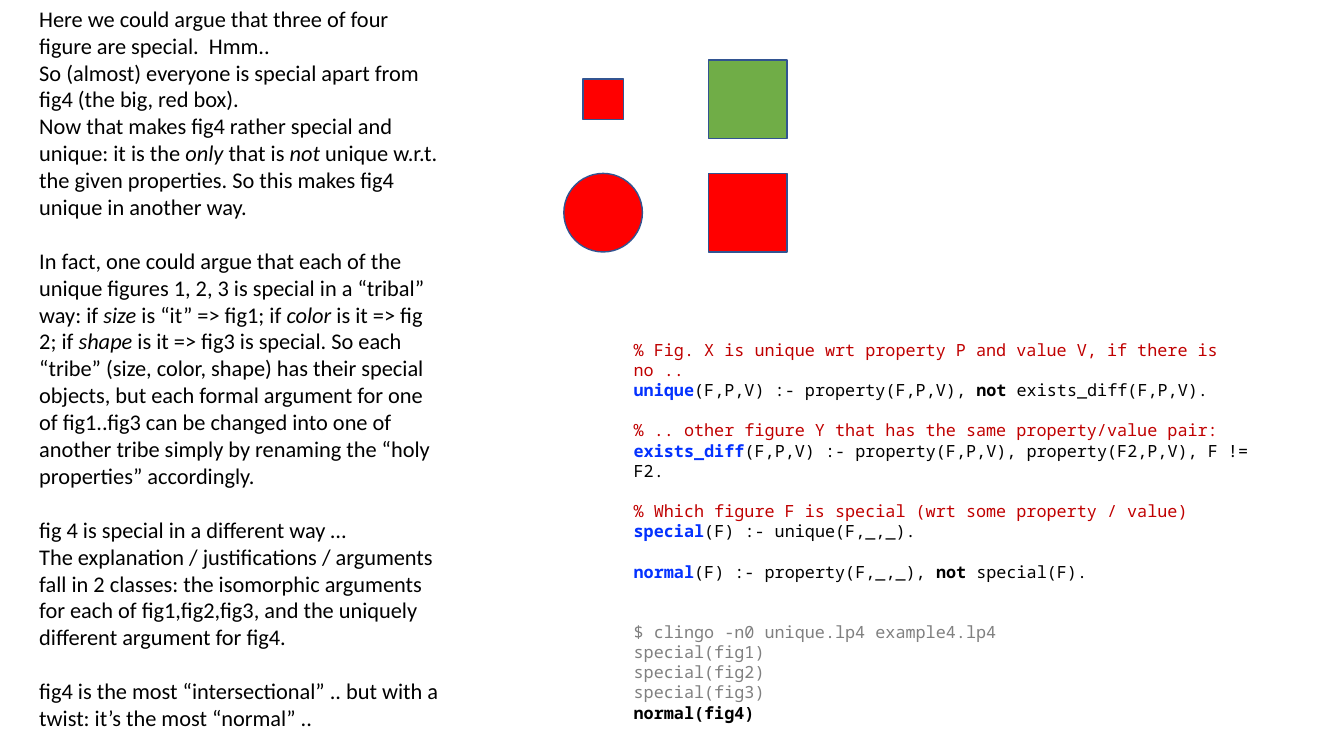
"""Build the slide on which of four figures is special, with its logic program."""
from pptx import Presentation
from pptx.dml.color import RGBColor
from pptx.enum.shapes import MSO_SHAPE as Shape
from pptx.util import Cm, Pt

BLACK = RGBColor(0x00, 0x00, 0x00)
RED = RGBColor(0xFF, 0x00, 0x00)
GREEN = RGBColor(0x70, 0xAD, 0x47)
OUTLINE = RGBColor(0x32, 0x54, 0x91)
DARK_RED = RGBColor(0xC0, 0x00, 0x00)
BLUE = RGBColor(0x04, 0x32, 0xFF)
GRAY = RGBColor(0x80, 0x80, 0x80)

STYLES = {
    "plain": (BLACK, False, False),
    "italic": (BLACK, False, True),
    "bold": (BLACK, True, False),
    "comment": (DARK_RED, False, False),
    "head": (BLUE, True, False),
    "output": (GRAY, False, False),
}

ARGUMENT = [
    (0, [("Here we could argue that three of four figure are special.  Hmm..", "plain")]),
    (0, [("So (almost) everyone is special apart from fig4 (the big, red box).", "plain")]),
    (0, [("Now that makes fig4 rather special and unique: it is the ", "plain"),
         ("only", "italic"), (" that is ", "plain"), ("not", "italic"),
         (" unique w.r.t. the given properties. So this makes fig4 unique in another way.",
          "plain")]),
    (1, [("In fact, one could argue that each of the unique figures 1, 2, 3 is special "
          "in a “tribal” way: if ", "plain"),
         ("size", "italic"), (" is “it” => fig1; if ", "plain"),
         ("color", "italic"), (" is it => fig 2; if ", "plain"),
         ("shape", "italic"),
         (" is it => fig3 is special. So each “tribe” (size, color, shape) has their "
          "special objects, but each formal argument for one of fig1..fig3 can be changed "
          "into one of another tribe simply by renaming the “holy properties” accordingly.",
          "plain")]),
    (1, [("fig 4 is special in a different way …", "plain")]),
    (0, [("The explanation / justifications / arguments fall in 2 classes: the isomorphic "
          "arguments for each of fig1,fig2,fig3, and the uniquely different argument for "
          "fig4.", "plain")]),
    (1, [("fig4 is the most “intersectional” .. but with a twist: it’s the most “normal” ..",
          "plain")]),
]

PROGRAM = [
    (0, [("% Fig. X is unique wrt property P and value V, if there is no ..", "comment")]),
    (0, [("unique", "head"), ("(F,P,V) :- property(F,P,V), ", "plain"),
         ("not ", "bold"), ("exists_diff(F,P,V).", "plain")]),
    (1, [("% .. other figure Y that has the same property/value pair:", "comment")]),
    (0, [("exists_diff", "head"),
         ("(F,P,V) :- property(F,P,V), property(F2,P,V), F != F2.", "plain")]),
    (1, [("% Which figure F is special (wrt some property / value)", "comment")]),
    (0, [("special", "head"), ("(F) :- unique(F,_,_).", "plain")]),
    (1, [("normal", "head"), ("(F) :- property(F,_,_), ", "plain"),
         ("not", "bold"), (" special(F).", "plain")]),
    (2, [("$ clingo -n0 unique.lp4 example4.lp4", "output")]),
    (0, [("special(fig1)", "output")]),
    (0, [("special(fig2)", "output")]),
    (0, [("special(fig3)", "output")]),
    (0, [("normal(fig4)", "bold")]),
]

TEXTS = [
    (ARGUMENT, (0.74, 0, 10.69, 19.41), "Calibri", 16, 19.4),
    (PROGRAM, (15.72, 8.43, 16.64, 9.5), "Noto Sans Mono", 12, 14.4),
]

SMALL, BIG = 1.02, 1.98
COLUMNS, ROWS = (15.2, 18.85), (2.5, 5.36)
FIGURES = [
    (Shape.RECTANGLE, 0, 0, SMALL, RED),
    (Shape.OVAL, 0, 1, BIG, RED),
    (Shape.RECTANGLE, 1, 1, BIG, RED),
    (Shape.RECTANGLE, 1, 0, BIG, GREEN),
]


def add_figure(s, kind, col, row, size, color):
    """Draw one outlined figure centred on its grid cell."""
    left, top = COLUMNS[col] - size / 2, ROWS[row] - size / 2
    sp = s.shapes.add_shape(kind, Cm(left), Cm(top), Cm(size), Cm(size))
    sp.shadow.inherit = False
    sp.fill.solid()
    sp.fill.fore_color.rgb = color
    sp.line.color.rgb = OUTLINE
    sp.line.width = Pt(1)


def add_text(s, paragraphs, box, font, size, line_height):
    """Write styled paragraphs, with gaps counted in lines."""
    tf = s.shapes.add_textbox(*map(Cm, box)).text_frame
    tf.word_wrap = True
    for i, (gap, runs) in enumerate(paragraphs):
        p = tf.add_paragraph() if i else tf.paragraphs[0]
        p.space_before = Pt(gap * line_height)
        for text, style in runs:
            r = p.add_run()
            r.text = text
            r.font.name, r.font.size = font, Pt(size)
            r.font.color.rgb, r.font.bold, r.font.italic = STYLES[style]


prs = Presentation()
prs.slide_width, prs.slide_height = Cm(33.87), Cm(19.05)
s = prs.slides.add_slide(prs.slide_layouts[6])
for figure in FIGURES:
    add_figure(s, *figure)
for text in TEXTS:
    add_text(s, *text)
prs.save("out.pptx")
